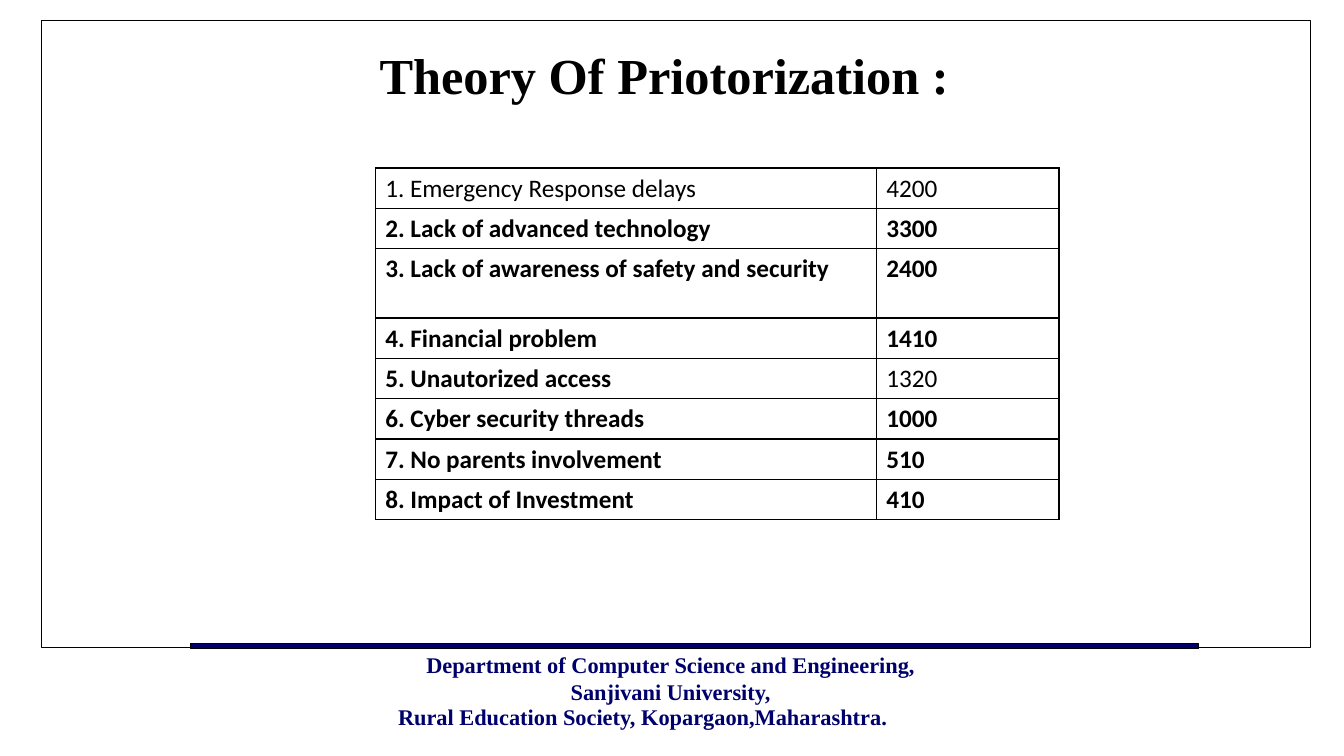
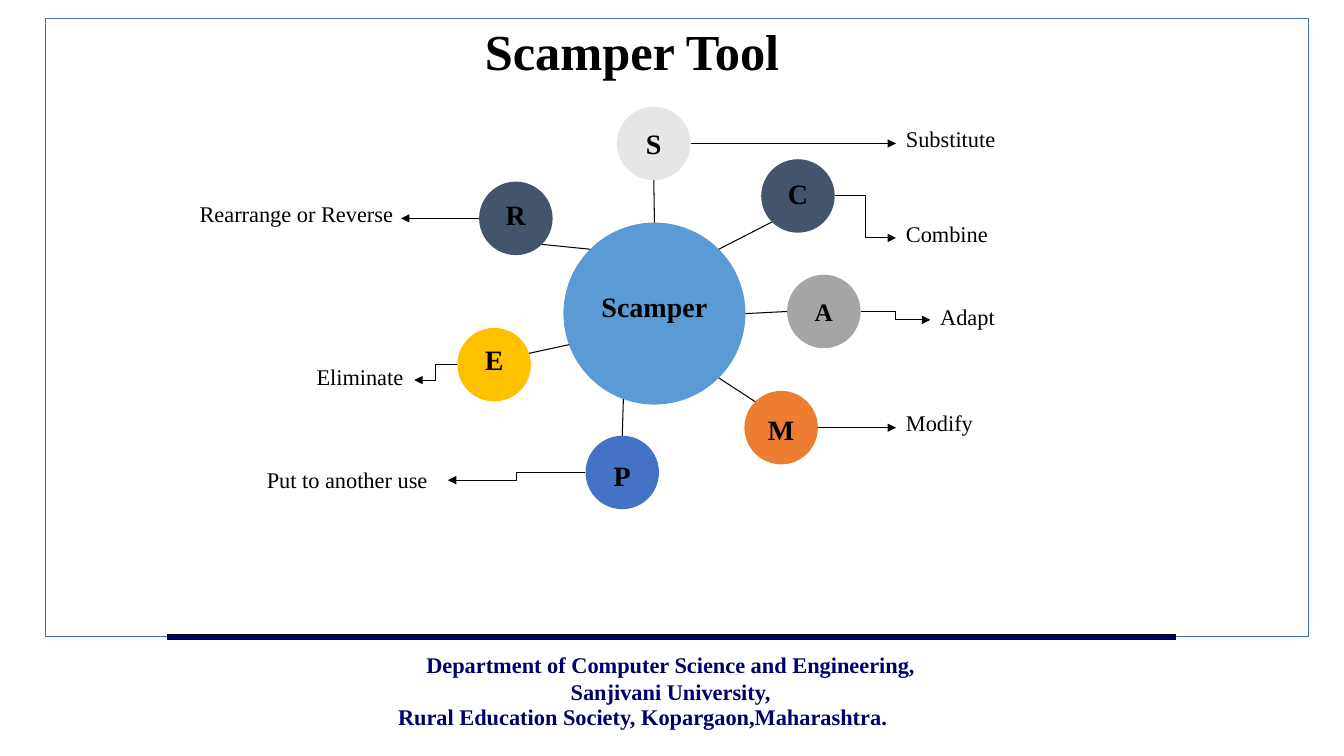
import math

from lxml import etree
from pptx import Presentation
from pptx.dml.color import RGBColor
from pptx.enum import shapes, text
from pptx.oxml import ns
from pptx.util import Pt

BLACK = RGBColor(0x00, 0x00, 0x00)
WHITE = RGBColor(0xFF, 0xFF, 0xFF)
NAVY = RGBColor(0x00, 0x00, 0x6C)
BLUE = RGBColor(0x44, 0x72, 0xC4)
SKY = RGBColor(0x5B, 0x9B, 0xD5)
SLATE = RGBColor(0x44, 0x54, 0x6A)
GOLD = RGBColor(0xFF, 0xC0, 0x00)
GREY = RGBColor(0xA5, 0xA5, 0xA5)
PALE = RGBColor(0xE7, 0xE6, 0xE6)
ORANGE = RGBColor(0xED, 0x7D, 0x31)

SERIF, SANS = "Times New Roman", "Calibri"
LEFT, MID = text.PP_ALIGN.LEFT, text.PP_ALIGN.CENTER

FOOTER = ["Department of Computer Science and Engineering,\nSanjivani University,",
          "Rural Education Society, Kopargaon,Maharashtra."]

# Cause, score, and whether each is bold
CAUSES = [
    ("1. Emergency Response delays", "4200", False, False),
    ("2. Lack of advanced technology", "3300", True, True),
    ("3. Lack of awareness of safety and security", "2400", True, True),
    ("4. Financial problem", "1410", True, True),
    ("5. Unautorized access", "1320", True, False),
    ("6. Cyber security threads", "1000", True, True),
    ("7. No parents involvement", "510", True, True),
    ("8. Impact of Investment", "410", True, True),
]
ROW, TALL = 28.8, 49.5

# Hub and nodes of the Scamper wheel
HUB_X, HUB_Y, HUB_R = 467.5, 224, 65
NODE_R = 26.25
# Letter, size, nudge, fill, centre, hub angle, node angle,
# arrow tip x, arrow drop, label, label place
NODES = [
    ("S", 20, 0, PALE, (467, 102.5), -90, 90, 640, 0, "Substitute", (640, 82)),
    ("C", 20, -2, SLATE, (570, 140), -45, 135, 640, 30, "Combine", (640, 150)),
    ("A", 18, 0, GREY, (588.5, 222.5), 0, 180, 664.5, 6, "Adapt", (664.5, 209.5)),
    ("M", 20, 1.5, ORANGE, (558, 305.5), 45, 225, 640, 0, "Modify", (640, 285)),
    ("P", 20, 2, BLUE, (444.5, 337.5), 110, -90, 320, 5.5, "Put to another use", (183.5, 325.5)),
    ("E", 20, -4, GOLD, (353, 260.5), 160, -18, 296, 11, "Eliminate", (219, 252)),
    ("R", 20, -3, SLATE, (368.5, 156), 225, 45, 286.5, 0, "Rearrange or Reverse", (135.5, 136)),
]


def style(frame, size, color=BLACK, bold=False, font=SERIF, align=LEFT):
    for para in frame.paragraphs:
        para.alignment = align
        for run in para.runs:
            run.font.size = Pt(size)
            run.font.name = font
            run.font.bold = bold
            run.font.color.rgb = color


def write(slide, words, left, top, width, height, size, **look):
    box = slide.shapes.add_textbox(Pt(left), Pt(top), Pt(width), Pt(height))
    box.text_frame.word_wrap = True
    box.text_frame.text = words
    style(box.text_frame, size, **look)
    return box


def block(slide, kind, left, top, width, height, fill, line=None):
    shape = slide.shapes.add_shape(kind, Pt(left), Pt(top), Pt(width), Pt(height))
    shape.shadow.inherit = False
    shape.fill.solid()
    shape.fill.fore_color.rgb = fill
    if line is None:
        shape.line.fill.background()
    else:
        shape.line.color.rgb = line
        shape.line.width = Pt(0.75)
    return shape


def disc(slide, words, size, nudge, fill, center, radius):
    x, y = center
    shape = block(slide, shapes.MSO_SHAPE.OVAL, x - radius, y - radius,
                  2 * radius, 2 * radius, fill)
    frame = shape.text_frame
    frame.text = words
    frame.word_wrap = False
    frame.vertical_anchor = text.MSO_ANCHOR.MIDDLE
    frame.margin_left = frame.margin_right = 0
    # Unequal margins move the word off centre by the nudge
    frame.margin_top = Pt(max(0, 2 * nudge))
    frame.margin_bottom = Pt(max(0, -2 * nudge))
    style(frame, size, bold=True, align=MID)


def link(slide, start, end, arrow=False):
    kind = shapes.MSO_CONNECTOR.STRAIGHT
    if arrow and start[1] != end[1]:
        kind = shapes.MSO_CONNECTOR.ELBOW
    line = slide.shapes.add_connector(kind, *(Pt(v) for v in (*start, *end)))
    line.line.color.rgb = BLACK
    line.line.width = Pt(0.75)
    if arrow:
        etree.SubElement(line.line._get_or_add_ln(), ns.qn("a:tailEnd"), type="triangle")
    etree.SubElement(line._element.spPr, ns.qn("a:effectLst"))


def rim(center, radius, angle):
    turn = math.radians(angle)
    return center[0] + radius * math.cos(turn), center[1] + radius * math.sin(turn)


def border(cell):
    props = cell._tc.get_or_add_tcPr()
    for spot, tag in enumerate(("a:lnL", "a:lnR", "a:lnT", "a:lnB")):
        edge = etree.Element(ns.qn(tag), w=str(Pt(1)))
        fill = etree.SubElement(edge, ns.qn("a:solidFill"))
        etree.SubElement(fill, ns.qn("a:srgbClr"), val=str(BLACK))
        props.insert(spot, edge)


def page(deck, title, mid, top, frame, edge, bar):
    """Add a slide with frame, bar, footer and title."""
    slide = deck.slides.add_slide(deck.slide_layouts[6])
    rect = shapes.MSO_SHAPE.RECTANGLE
    block(slide, rect, *frame, WHITE, edge)
    block(slide, rect, *bar, 720, 3.6, NAVY, BLACK)
    for words, left, y in zip(FOOTER, (157, 137), (461.5, 499)):
        write(slide, words, left, y, 644, 30, 16, color=NAVY, bold=True, align=MID)
    write(slide, title, mid - 330, top, 660, 51, 36, bold=True, align=MID)
    return slide


def ranking(deck):
    slide = page(deck, "Theory Of Priotorization :", 474.5, 28,
                 (29.5, 14.5, 906.5, 448), BLACK, (136, 459.5))
    shape = slide.shapes.add_table(len(CAUSES), 2, Pt(268), Pt(120), Pt(488.5),
                                   Pt(ROW * (len(CAUSES) - 1) + TALL))
    table = shape.table
    table.columns[0].width, table.columns[1].width = Pt(358), Pt(130.5)
    for row, (cause, score, *bolds) in enumerate(CAUSES):
        table.rows[row].height = Pt(TALL if row == 2 else ROW)
        for col, words in enumerate((cause, score)):
            cell = table.cell(row, col)
            cell.text = words
            cell.fill.solid()
            cell.fill.fore_color.rgb = WHITE
            style(cell.text_frame, 18, bold=bolds[col], font=SANS)
            border(cell)


def wheel(deck):
    slide = page(deck, "Scamper Tool", 451.5, 11,
                 (32.5, 13, 902, 441.5), BLUE, (120, 453.5))
    hub = (HUB_X, HUB_Y)
    disc(slide, "Scamper", 20, -5, SKY, hub, HUB_R)
    for letter, size, nudge, fill, spot, out, back, tip, drop, label, place in NODES:
        disc(slide, letter, size, nudge, fill, spot, NODE_R)
        link(slide, rim(hub, HUB_R, out), rim(spot, NODE_R, back))
        side = NODE_R if tip > spot[0] else -NODE_R
        link(slide, (spot[0] + side, spot[1]), (tip, spot[1] + drop), arrow=True)
        box = write(slide, label, *place, 165, 38, 16)
        box.text_frame.margin_top = Pt(7.2)


def main():
    deck = Presentation()
    deck.slide_width, deck.slide_height = Pt(960), Pt(540)
    ranking(deck)
    wheel(deck)
    deck.save("out.pptx")


if __name__ == "__main__":
    main()
